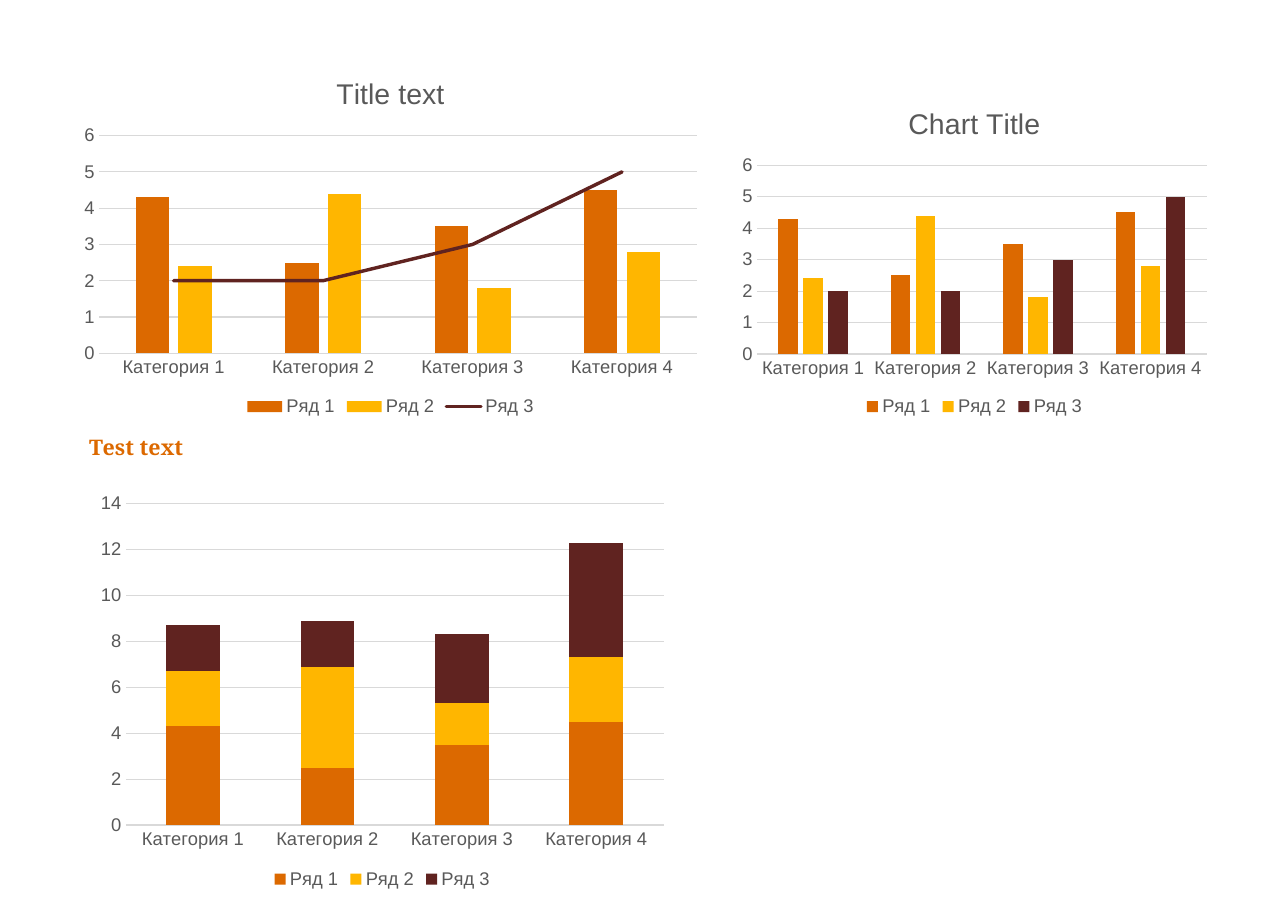
"""Build a slide with a combined, a clustered and a stacked column chart."""
from pptx import Presentation
from pptx import util as u
from pptx.chart import data as cd
from pptx.dml.color import RGBColor
from pptx.enum import chart as ec, text
from pptx.oxml import parse_xml
from pptx.oxml.ns import nsdecls

ORANGE = RGBColor(0xDC, 0x69, 0x00)
YELLOW = RGBColor(0xFF, 0xB6, 0x00)
MAROON = RGBColor(0x60, 0x23, 0x20)
GREY = RGBColor(0x59, 0x59, 0x59)
RULE = RGBColor(0xD9, 0xD9, 0xD9)

CATEGORIES = [f"Категория {n}" for n in range(1, 5)]
SERIES = [
    ("Ряд 1", (4.3, 2.5, 3.5, 4.5), ORANGE),
    ("Ряд 2", (2.4, 4.4, 1.8, 2.8), YELLOW),
    ("Ряд 3", (2, 2, 3, 5), MAROON),
]
CLUSTERED = ec.XL_CHART_TYPE.COLUMN_CLUSTERED
STACKED = ec.XL_CHART_TYPE.COLUMN_STACKED


class Deck:
    def __init__(self, prs, font="Arial", size=12):
        self.font, self.size = font, size
        self.s = prs.slides.add_slide(prs.slide_layouts[2])
        title = self.s.shapes.title
        title.element.getparent().remove(title.element)

    def style(self, f, size=None, color=GREY, name=None, bold=False):
        f.name, f.size, f.bold = name or self.font, u.Pt(size or self.size), bold
        f.color.rgb = color

    def rule(self, line, color=RULE, width=0.75):
        line.color.rgb, line.width = color, u.Pt(width)

    def heading(self, wording, x, y, w, h):
        sp = self.s.placeholders[1]
        sp.left, sp.top, sp.width, sp.height = map(u.Pt, (x, y, w, h))
        tf = sp.text_frame
        tf.word_wrap = True
        tf.vertical_anchor = text.MSO_ANCHOR.TOP
        tf.margin_left = tf.margin_top = tf.margin_right = tf.margin_bottom = 0
        p = tf.paragraphs[0]
        p.text = wording
        p.space_before, p.space_after = u.Pt(0), u.Pt(6)
        self.style(p.font, 14, ORANGE, "Noto Serif", True)

    def columns(self, kind, x, y, w, h, top, unit, gap, overlap, title=None):
        data = cd.CategoryChartData()
        data.categories = CATEGORIES
        for name, values, _ in SERIES:
            data.add_series(name, values)
        chart = self.s.shapes.add_chart(kind, *map(u.Pt, (x, y, w, h)), data).chart
        self.style(chart.font)
        chart.has_title = bool(title)
        if title:
            p = chart.chart_title.text_frame.paragraphs[0]
            p.text = title
            self.style(p.font, 18.6)
            chart.chart_title.include_in_layout = False
        chart.has_legend = True
        chart.legend.position = ec.XL_LEGEND_POSITION.BOTTOM
        chart.legend.include_in_layout = False
        self.style(chart.legend.font)

        cat, val = chart.category_axis, chart.value_axis
        for axis in (cat, val):
            axis.major_tick_mark = axis.minor_tick_mark = ec.XL_TICK_MARK.NONE
            self.style(axis.tick_labels.font)
        self.rule(cat.format.line)
        val.format.line.fill.background()
        val.has_major_gridlines = True
        self.rule(val.major_gridlines.format.line)
        val.minimum_scale, val.maximum_scale, val.major_unit = 0, top, unit

        plot = chart.plots[0]
        plot.vary_by_categories = False
        plot.gap_width, plot.overlap = gap, overlap
        for series, (_, _, color) in zip(plot.series, SERIES):
            series.format.fill.solid()
            series.format.fill.fore_color.rgb = color
            series.invert_if_negative = False
        return chart

    def last_as_line(self, chart):
        bars = chart.plots[0]._element
        ser = bars.findall(bars.tag.replace("barChart", "ser"))[-1]
        ids = "".join(f'<c:axId val="{a.get("val")}"/>'
                      for a in bars.findall(bars.tag.replace("barChart", "axId")))
        lines = parse_xml(f'<c:lineChart {nsdecls("c")}><c:grouping val="standard"/>'
                          f'<c:varyColors val="0"/><c:marker val="1"/>{ids}</c:lineChart>')
        bars.addnext(lines)
        ser.remove(ser.find(ser.tag.replace("}ser", "}invertIfNegative")))
        ser.remove(ser.spPr)
        lines.insert(2, ser)
        series = chart.plots[1].series[0]
        self.rule(series.format.line, MAROON, 2.25)
        ser.spPr.ln.set("cap", "rnd")
        series.marker.style = ec.XL_MARKER_STYLE.NONE
        series.smooth = False


prs = Presentation()
prs.slide_width, prs.slide_height = u.Pt(841.68), u.Pt(595.44)
deck = Deck(prs)
deck.heading("Test text", 58.3, 283.7, 78.5, 28)
combined = deck.columns(CLUSTERED, 46.8, 36.7, 416.9, 238.3, 6, 1, 219, -27, "Title text")
deck.last_as_line(combined)
deck.columns(STACKED, 58.3, 317.5, 383, 266.4, 14, 2, 150, 100)
deck.columns(CLUSTERED, 478.8, 56.9, 316.1, 218.2, 6, 1, 219, -27, "Chart Title")
prs.save("out.pptx")
